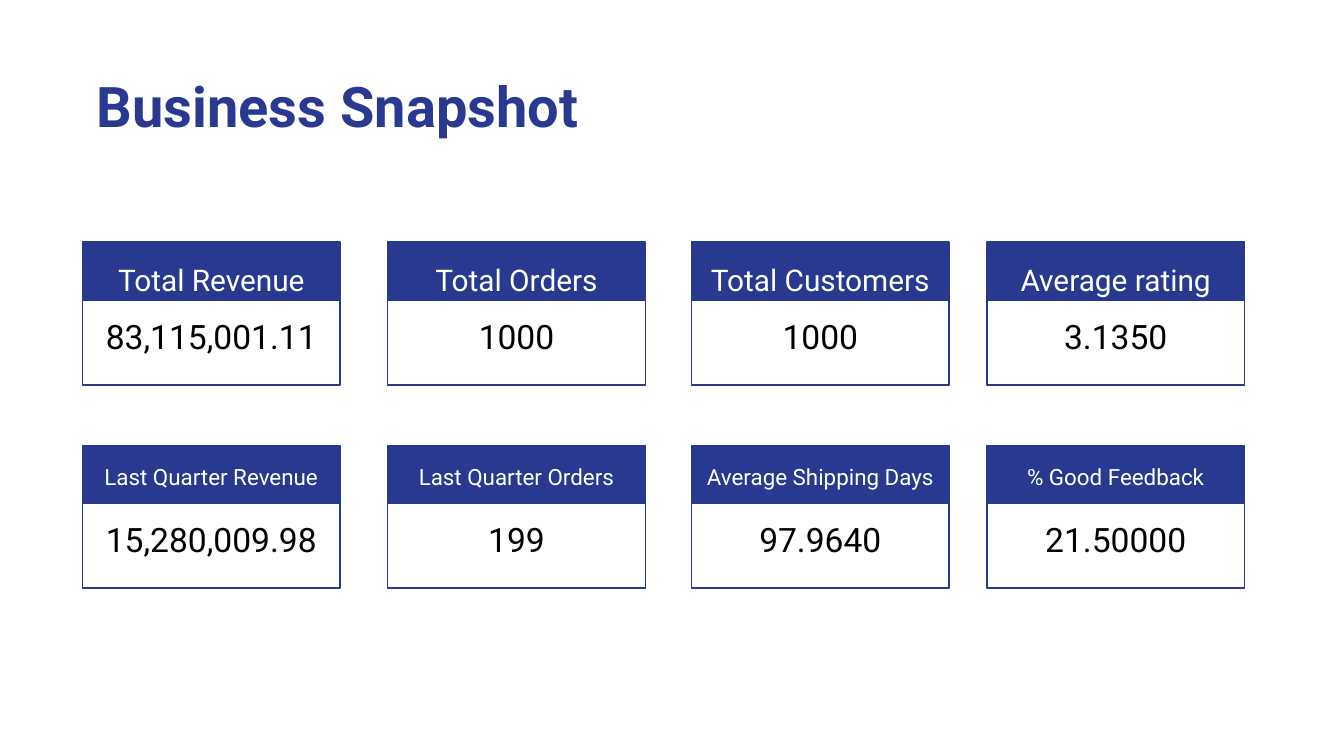
from dataclasses import dataclass

from pptx import Presentation
from pptx.dml.color import RGBColor
from pptx.enum.shapes import MSO_SHAPE
from pptx.enum.text import MSO_ANCHOR, PP_ALIGN
from pptx.util import Emu, Pt

EMU_PER_PX = 9525
COLUMN_LEFTS = (59, 277, 494, 705)
ROW_TOPS = (173, 318)
CARD_WIDTH, CARD_HEIGHT, HEADER_HEIGHT = 184, 102, 42
PADDING = 10

METRIC_ROWS = (
    (
        ("Total Revenue", "83,115,001.11"),
        ("Total Orders", "1000"),
        ("Total Customers", "1000"),
        ("Average rating", "3.1350"),
    ),
    (
        ("Last Quarter Revenue", "15,280,009.98"),
        ("Last Quarter Orders", "199"),
        ("Average Shipping Days", "97.9640"),
        ("% Good Feedback", "21.50000"),
    ),
)


@dataclass(frozen=True)
class Theme:
    font: str = "Roboto"
    navy: RGBColor = RGBColor(0x2A, 0x39, 0x90)
    white: RGBColor = RGBColor(0xFF, 0xFF, 0xFF)
    black: RGBColor = RGBColor(0, 0, 0)
    title_size: int = 30
    value_size: int = 18
    label_sizes: tuple = (16, 12)
    line_spacing: float = 1.15
    border: float = 0.75


THEME = Theme()


def px(length):
    return Emu(length * EMU_PER_PX)


def write_text(shape, text, size, color, anchor=MSO_ANCHOR.TOP, top_inset=PADDING):
    """Fill the shape with one paragraph and return that paragraph."""
    frame = shape.text_frame
    frame.word_wrap = True
    frame.vertical_anchor = anchor
    frame.margin_left = frame.margin_right = frame.margin_bottom = px(PADDING)
    frame.margin_top = px(top_inset)
    paragraph = frame.paragraphs[0]
    paragraph.text = text
    paragraph.font.name = THEME.font
    paragraph.font.size = Pt(size)
    paragraph.font.color.rgb = color
    return paragraph


def add_title(slide, text):
    box = slide.shapes.add_textbox(px(59), px(34), px(895), px(63))
    paragraph = write_text(box, text, THEME.title_size, THEME.navy)
    paragraph.font.bold = True
    paragraph.line_spacing = THEME.line_spacing


def add_rectangle(slide, left, top, height):
    shape = slide.shapes.add_shape(
        MSO_SHAPE.RECTANGLE, px(left), px(top), px(CARD_WIDTH), px(height)
    )
    shape.shadow.inherit = False
    return shape


def add_card(slide, left, top, label, value, label_size):
    """Add an outlined value box with a filled label header across its top."""
    body = add_rectangle(slide, left, top, CARD_HEIGHT)
    body.fill.background()
    body.line.color.rgb = THEME.navy
    body.line.width = Pt(THEME.border)
    paragraph = write_text(
        body, value, THEME.value_size, THEME.black, MSO_ANCHOR.MIDDLE, HEADER_HEIGHT
    )
    paragraph.alignment = PP_ALIGN.CENTER

    header = add_rectangle(slide, left, top, HEADER_HEIGHT)
    header.fill.solid()
    header.fill.fore_color.rgb = THEME.navy
    header.line.fill.background()
    paragraph = write_text(header, label, label_size, THEME.white)
    paragraph.alignment = PP_ALIGN.CENTER
    paragraph.line_spacing = THEME.line_spacing


def main():
    presentation = Presentation()
    presentation.slide_width = px(960)
    presentation.slide_height = px(540)
    slide = presentation.slides.add_slide(presentation.slide_layouts[6])

    add_title(slide, "Business Snapshot")
    for top, label_size, metrics in zip(ROW_TOPS, THEME.label_sizes, METRIC_ROWS):
        for left, (label, value) in zip(COLUMN_LEFTS, metrics):
            add_card(slide, left, top, label, value, label_size)

    presentation.save("out.pptx")


if __name__ == "__main__":
    main()
